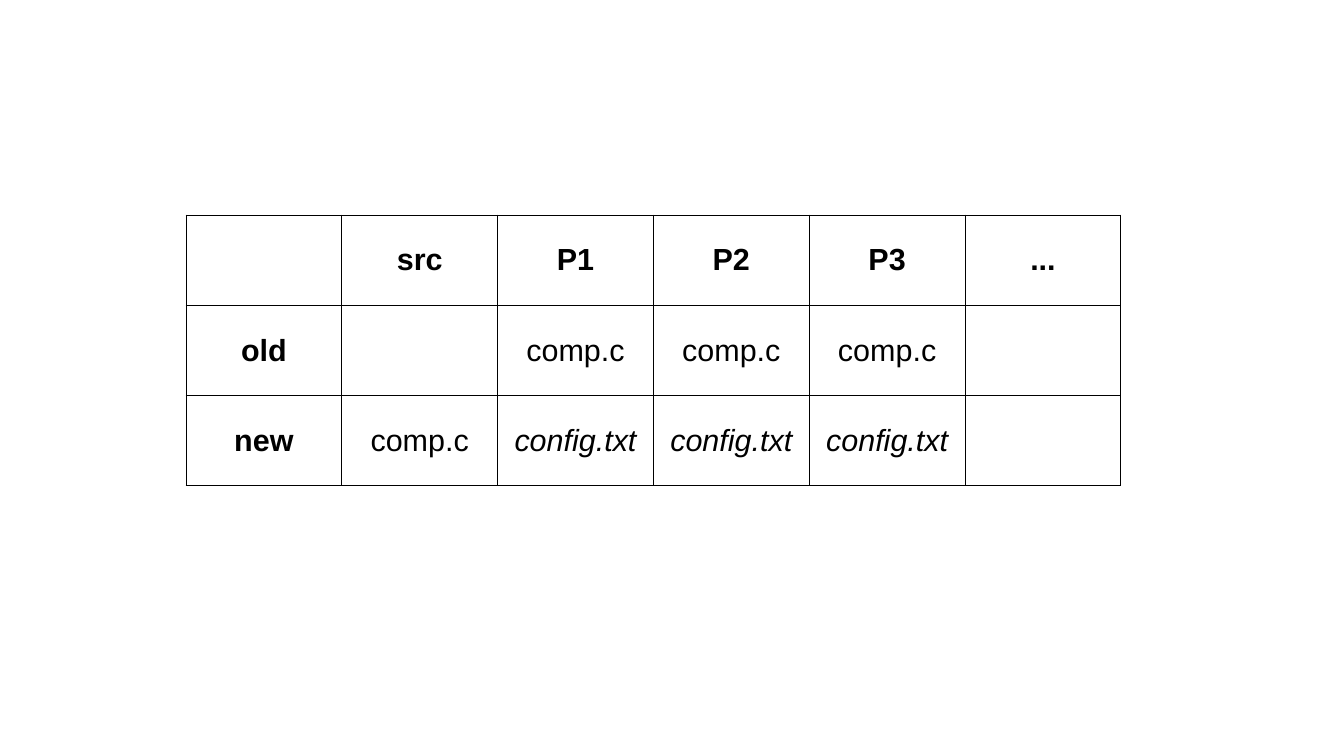
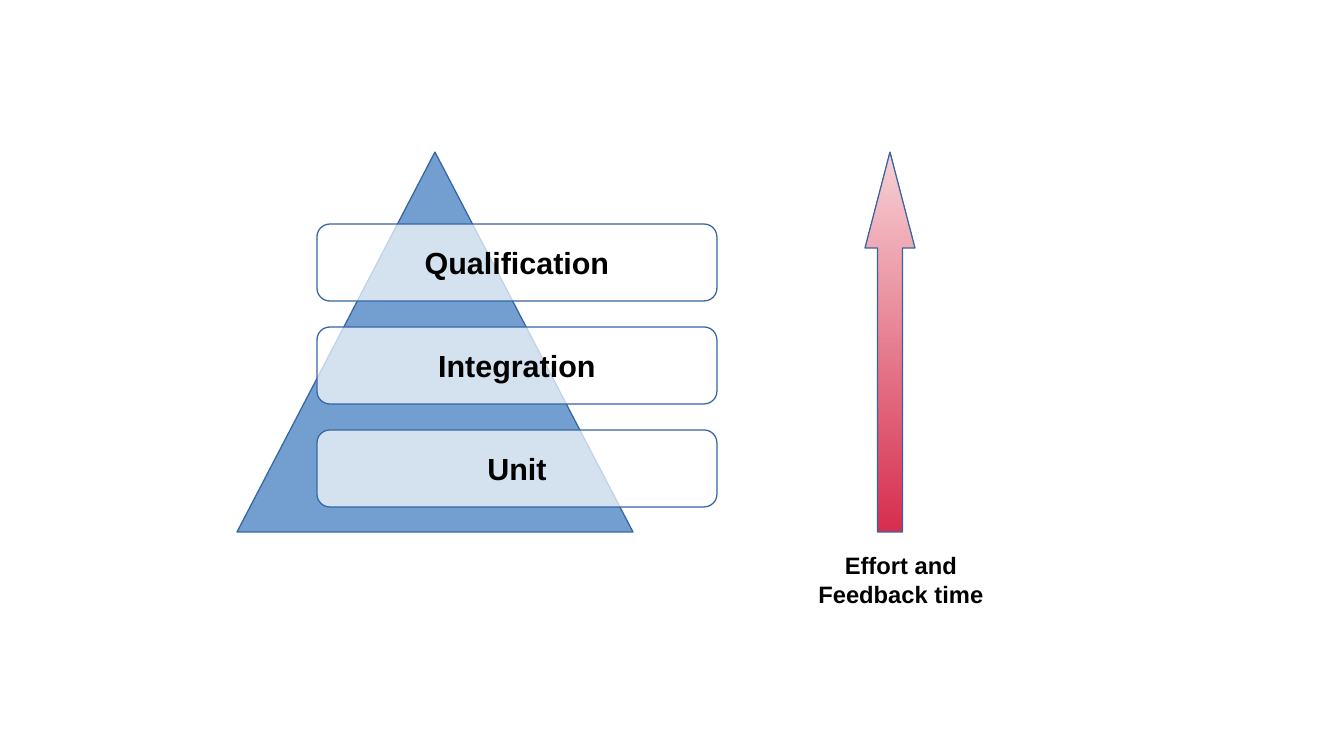
"""Builds two slides: a file layout table and a test pyramid."""
from pptx import Presentation
from pptx import util as u
from pptx.dml.color import RGBColor
from pptx.enum import shapes, text
from pptx.oxml import ns, xmlchemy

SCALE = 914400 / 122
FONT = "Arial"
COLORS = {
    "text": "000000", "border": "000000", "pyramid": "729FCF", "outline": "3465A4",
    "band": "FFFFFF", "arrow_tail": "D62E4E", "arrow_tip": "F7D1D5",
}
BAND_OPACITY = 70

FILE_TABLE = [
    ["", "src", "P1", "P2", "P3", "..."],
    ["old", "", "comp.c", "comp.c", "comp.c", ""],
    ["new", "comp.c", "config.txt", "config.txt", "config.txt", ""],
]
ITALIC_FILES = {"config.txt"}
TABLE_BOX = (186, 215, 935, 271)

TEST_LEVELS = ["Qualification", "Integration", "Unit"]
EFFORT_LABEL = "Effort and Feedback time"
PYRAMID_BOX = (237, 152, 396, 380)
FIRST_BAND_BOX = (317, 224, 400, 77)
BAND_STEP = 103
ARROW_BOX = (865, 152, 50, 380)
LABEL_BOX = (796, 549, 210, 61)


def px(length):
    """Convert pixels to EMU."""
    return u.Emu(round(length * SCALE))


def place(box):
    """Convert a pixel box to EMU."""
    return [px(length) for length in box]


def color(name):
    """Look up a named colour."""
    return RGBColor.from_string(COLORS[name])


def write(frame, words, size=18, bold=True, italic=False):
    """Write one centred run into a text frame."""
    frame.word_wrap = True
    frame.vertical_anchor = text.MSO_ANCHOR.MIDDLE
    paragraph = frame.paragraphs[0]
    paragraph.alignment = text.PP_ALIGN.CENTER
    run = paragraph.add_run()
    run.text = words
    font = run.font
    font.name, font.size, font.bold, font.italic = FONT, u.Pt(size), bold, italic
    font.color.rgb = color("text")


def add_outlined(slide, kind, box):
    """Add a preset shape with a hairline outline and no shadow."""
    shape = slide.shapes.add_shape(kind, *place(box))
    shape.shadow.inherit = False
    shape.line.color.rgb = color("outline")
    shape.line.width = 0
    return shape


def fill_solid(shape, name, opacity=100):
    """Fill a shape with a named colour at an opacity in percent."""
    shape.fill.solid()
    shape.fill.fore_color.rgb = color(name)
    if opacity < 100:
        tint = shape.element.spPr.find(ns.qn("a:solidFill")).find(ns.qn("a:srgbClr"))
        alpha = xmlchemy.OxmlElement("a:alpha")
        alpha.set("val", str(opacity * 1000))
        tint.append(alpha)


def add_borders(cell):
    """Draw a thin line on each side of a table cell."""
    properties = cell._tc.get_or_add_tcPr()
    for side in ("lnL", "lnR", "lnT", "lnB"):
        line = xmlchemy.OxmlElement(f"a:{side}")
        line.set("w", str(u.Pt(0.57)))
        solid = xmlchemy.OxmlElement("a:solidFill")
        tint = xmlchemy.OxmlElement("a:srgbClr")
        tint.set("val", COLORS["border"])
        solid.append(tint)
        line.append(solid)
        properties.append(line)


def build_file_table(slide):
    """Add the table of old and new file locations."""
    rows, columns = len(FILE_TABLE), len(FILE_TABLE[0])
    table = slide.shapes.add_table(rows, columns, *place(TABLE_BOX)).table
    table.first_row = table.horz_banding = False
    for row, entries in enumerate(FILE_TABLE):
        for column, entry in enumerate(entries):
            cell = table.cell(row, column)
            add_borders(cell)
            cell.fill.background()
            cell.margin_left = cell.margin_right = px(5)
            cell.vertical_anchor = text.MSO_ANCHOR.MIDDLE
            if entry:
                heading = row == 0 or column == 0
                write(cell.text_frame, entry, bold=heading, italic=entry in ITALIC_FILES)


def build_test_pyramid(slide):
    """Add the pyramid, its level bands and the effort arrow."""
    kinds = shapes.MSO_SHAPE
    pyramid = add_outlined(slide, kinds.ISOSCELES_TRIANGLE, PYRAMID_BOX)
    fill_solid(pyramid, "pyramid")

    left, top, width, height = FIRST_BAND_BOX
    for index, level in enumerate(TEST_LEVELS):
        box = (left, top + index * BAND_STEP, width, height)
        band = add_outlined(slide, kinds.ROUNDED_RECTANGLE, box)
        fill_solid(band, "band", BAND_OPACITY)
        write(band.text_frame, level)

    arrow = add_outlined(slide, kinds.UP_ARROW, ARROW_BOX)
    arrow.adjustments[0], arrow.adjustments[1] = 0.5, 1.92
    arrow.fill.gradient()
    arrow.fill.gradient_angle = 90
    for stop, name in zip(arrow.fill.gradient_stops, ("arrow_tail", "arrow_tip")):
        stop.color.rgb = color(name)

    label = slide.shapes.add_textbox(*place(LABEL_BOX))
    write(label.text_frame, EFFORT_LABEL, size=14)


def main():
    """Build and save the presentation."""
    presentation = Presentation()
    presentation.slide_width, presentation.slide_height = px(1344), px(756)
    blank = presentation.slide_layouts[6]
    for build in (build_file_table, build_test_pyramid):
        build(presentation.slides.add_slide(blank))
    presentation.save("out.pptx")


if __name__ == "__main__":
    main()
